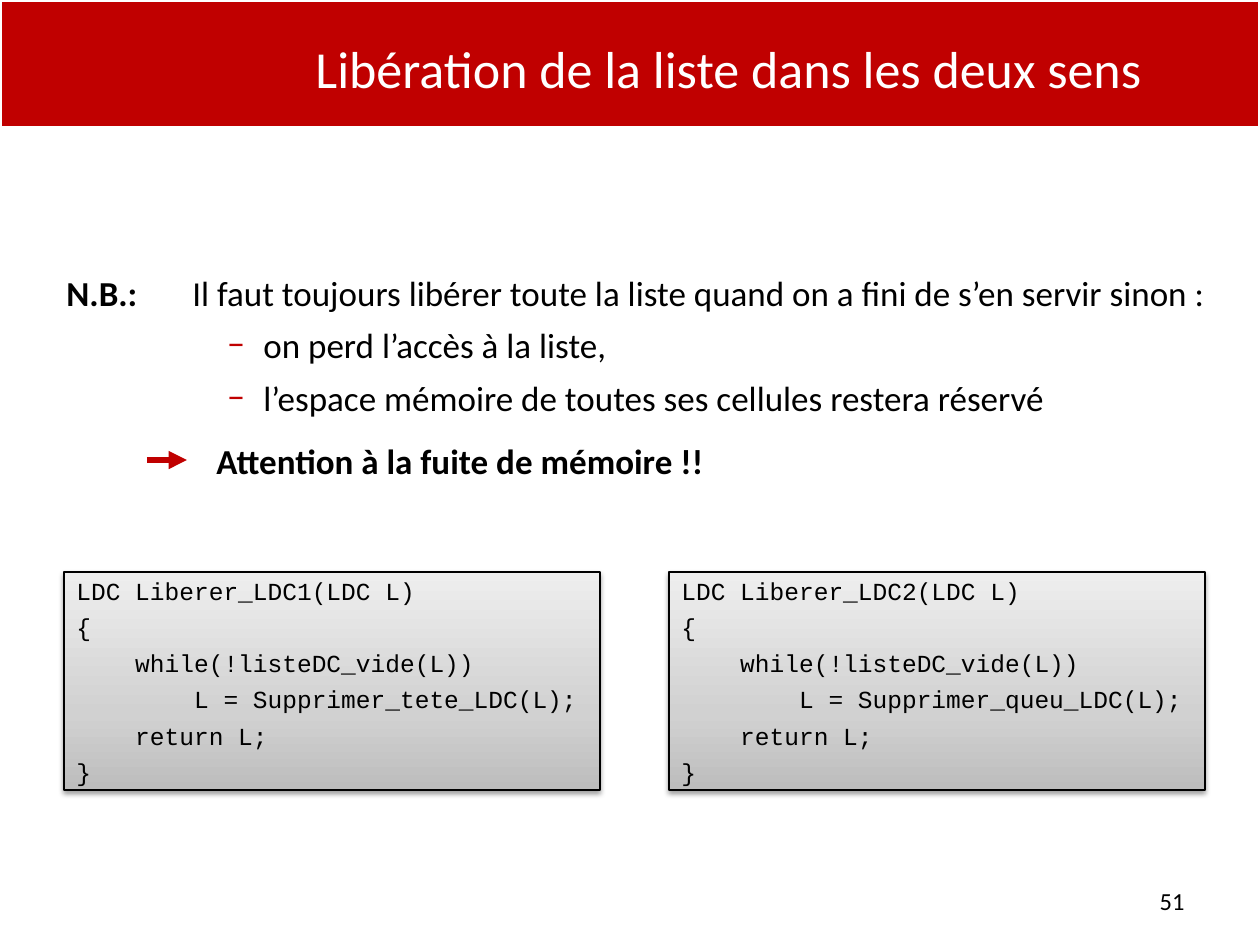
from lxml import etree
from pptx import Presentation
from pptx.dml.color import RGBColor
from pptx.enum.shapes import MSO_CONNECTOR, MSO_SHAPE
from pptx.enum.text import MSO_ANCHOR, PP_ALIGN
from pptx.oxml.ns import qn
from pptx.util import Emu, Pt

RECTANGLE = MSO_SHAPE.RECTANGLE
STRAIGHT = MSO_CONNECTOR.STRAIGHT
MIDDLE, TOP = MSO_ANCHOR.MIDDLE, MSO_ANCHOR.TOP
LEFT, CENTER, RIGHT, JUSTIFY = PP_ALIGN.LEFT, PP_ALIGN.CENTER, PP_ALIGN.RIGHT, PP_ALIGN.JUSTIFY
PX_PER_INCH = 126
COLORS = {
    "red": "C00000", "white": "FFFFFF", "black": "000000",
    "gray_dark": "BDBDBD", "gray_mid": "D1D1D1", "gray_light": "EEEEEE",
}
BODY_FONT, CODE_FONT = "Calibri", "Courier New"
CODE = """LDC Liberer_LDC{number}(LDC L)
{{
    while(!listeDC_vide(L))
        L = Supprimer_{end}_LDC(L);
    return L;
}}"""


def px(length):
    """Turn pixels into EMU."""
    return Emu(round(length * 914400 / PX_PER_INCH))


def rgb(name):
    """Look up a named colour."""
    return RGBColor.from_string(COLORS[name])


def add_xml(parent, tag, **attributes):
    """Append a drawing element to its parent."""
    return etree.SubElement(parent, qn(tag), attributes)


def style_run(run, size, font=BODY_FONT, color="black", bold=False):
    """Set the character format of a run."""
    run.font.size = Pt(size)
    run.font.name = font
    run.font.bold = bold
    run.font.color.rgb = rgb(color)


def add_text_box(slide, box, anchor=TOP):
    """Add a wrapping text box and return its text frame."""
    text_frame = slide.shapes.add_textbox(*map(px, box)).text_frame
    text_frame.word_wrap = True
    text_frame.vertical_anchor = anchor
    return text_frame


def add_label(slide, box, text, size, alignment, color):
    """Add one line of vertically centred text."""
    paragraph = add_text_box(slide, box, MIDDLE).paragraphs[0]
    paragraph.text = text
    paragraph.alignment = alignment
    style_run(paragraph.runs[0], size, color=color)


def add_rectangle(slide, box, line_color, line_width):
    """Add an outlined rectangle without a shadow."""
    shape = slide.shapes.add_shape(RECTANGLE, *map(px, box))
    shape.shadow.inherit = False
    shape.line.color.rgb = rgb(line_color)
    shape.line.width = Pt(line_width)
    return shape


def add_header(slide, box, title):
    """Draw the title band."""
    left, top, width, height = box
    band = add_rectangle(slide, box, "white", 2)
    band.fill.solid()
    band.fill.fore_color.rgb = rgb("red")
    title_box = (left + 273, top + 24, 912, 87)
    add_label(slide, title_box, title, 29.7, CENTER, "white")


def add_dash(paragraph):
    """Give a paragraph a red dash and a hanging indent."""
    properties = paragraph._p.get_or_add_pPr()
    properties.set("marL", str(px(197)))
    properties.set("indent", str(px(-36)))
    add_xml(add_xml(properties, "a:buClr"), "a:srgbClr", val=COLORS["red"])
    add_xml(properties, "a:buFont", typeface=BODY_FONT)
    add_xml(properties, "a:buChar", char="−")


def add_arrow(slide, left, top, length):
    """Draw a horizontal arrow pointing right."""
    arrow = slide.shapes.add_connector(STRAIGHT, px(left), px(top), px(left + length), px(top))
    arrow.line.color.rgb = rgb("red")
    arrow.line.width = Pt(3.5)
    add_xml(arrow.line._get_or_add_ln(), "a:tailEnd", type="triangle")
    add_xml(arrow._element.spPr, "a:effectLst")


def add_note(slide, box):
    """Write the remark, its two consequences and the warning."""
    left, top, width, height = box
    rows = [
        ([("N.B.:", True), ("\tIl faut toujours libérer toute la liste quand on a fini de s’en servir sinon :", False)], 0, False),
        ([("on perd l’accès à la liste,", False)], 6, True),
        ([("l’espace mémoire de toutes ses cellules restera réservé", False)], 6, True),
        ([("\tAttention à la fuite de mémoire !!", True)], 12, False),
    ]
    text_frame = add_text_box(slide, box)
    for index, (parts, space, dashed) in enumerate(rows):
        paragraph = text_frame.add_paragraph() if index else text_frame.paragraphs[0]
        paragraph.alignment = JUSTIFY
        if index:
            paragraph.space_before = Pt(space)
        if dashed:
            add_dash(paragraph)
        for text, bold in parts:
            run = paragraph.add_run()
            run.text = text
            style_run(run, 20, bold=bold)
    warning = text_frame.paragraphs[-1]._p.get_or_add_pPr()
    warning.set("marL", str(px(87)))
    warning.set("indent", "0")
    add_arrow(slide, left + 93, top + 195, 40)


def add_gradient(shape):
    """Fill a shape with grey, lighter towards the top."""
    gradient = etree.Element(qn("a:gradFill"), rotWithShape="1")
    stops = add_xml(gradient, "a:gsLst")
    for position, name in ((0, "gray_dark"), (35, "gray_mid"), (100, "gray_light")):
        stop = add_xml(stops, "a:gs", pos=str(position * 1000))
        add_xml(stop, "a:srgbClr", val=COLORS[name])
    add_xml(gradient, "a:lin", ang="16200000", scaled="0")
    shape._element.spPr.find(qn("a:prstGeom")).addnext(gradient)


def add_soft_shadow(shape):
    """Put a soft shadow under a shape."""
    effects = shape._element.spPr.find(qn("a:effectLst"))
    shadow = add_xml(effects, "a:outerShdw", blurRad=str(Pt(3.1)), dist=str(Pt(1.6)),
                     dir="5400000", rotWithShape="0")
    color = add_xml(shadow, "a:srgbClr", val=COLORS["black"])
    add_xml(color, "a:alpha", val="38000")


def add_code_panel(slide, box, code):
    """Show a function listing on a shaded panel."""
    panel = add_rectangle(slide, box, "black", 0.75)
    add_gradient(panel)
    add_soft_shadow(panel)
    text_frame = panel.text_frame
    text_frame.word_wrap = True
    text_frame.vertical_anchor = MIDDLE
    text_frame.text = code
    for index, paragraph in enumerate(text_frame.paragraphs):
        paragraph.alignment = LEFT
        if index:
            paragraph.space_before = Pt(3.9)
        style_run(paragraph.runs[0], 14, CODE_FONT)


def main():
    """Build and save the slide."""
    presentation = Presentation()
    presentation.slide_width, presentation.slide_height = px(1260), px(945)
    slide = presentation.slides.add_slide(presentation.slide_layouts[6])
    add_header(slide, (0, 0, 1260, 128), "Libération de la liste dans les deux sens")
    add_note(slide, (54, 265, 1171, 224))
    for index, end in enumerate(("tete", "queu")):
        code = CODE.format(number=index + 1, end=end)
        add_code_panel(slide, (64 + index * 605, 572, 536, 218), code)
    add_label(slide, (903, 876, 294, 50), "51", 14, RIGHT, "black")
    presentation.save("out.pptx")


if __name__ == "__main__":
    main()
